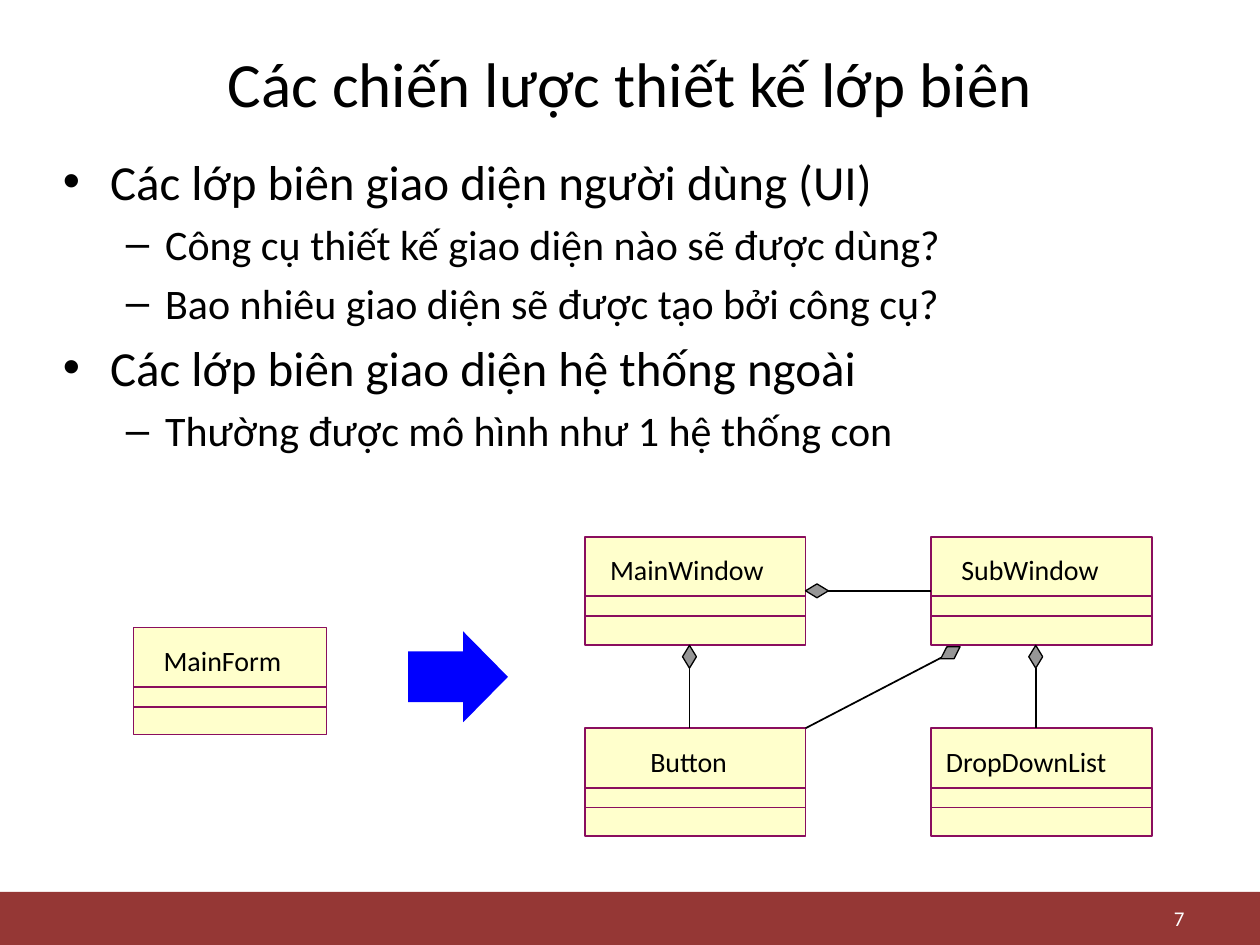
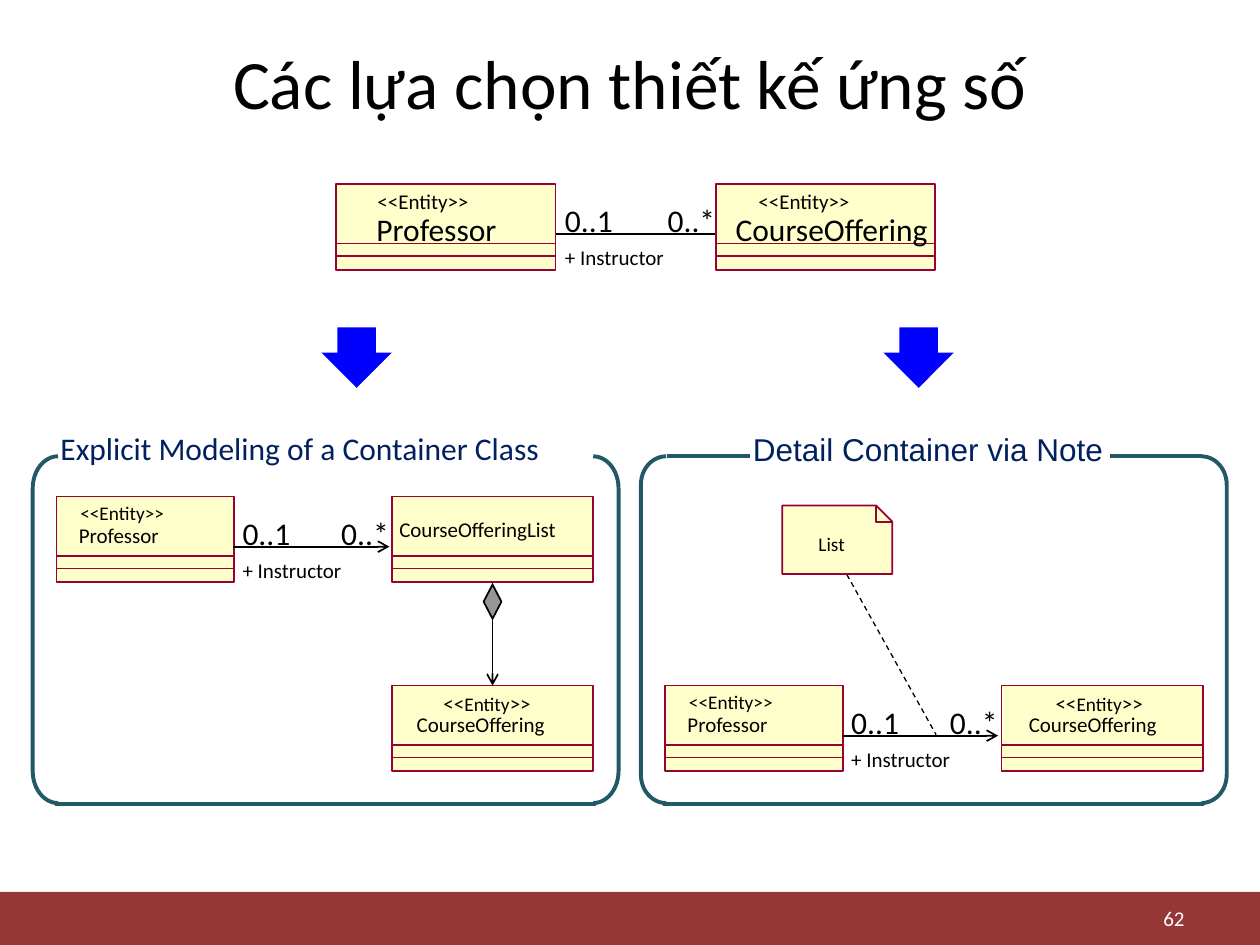
from lxml import etree
from pptx import Presentation
from pptx.dml.color import RGBColor
from pptx.enum.dml import MSO_LINE
from pptx.enum.shapes import MSO_CONNECTOR, MSO_SHAPE as Preset
from pptx.enum.text import MSO_ANCHOR as Anchor, MSO_AUTO_SIZE as AutoSize, PP_ALIGN as Align
from pptx.oxml.ns import qn
from pptx.util import Cm, Pt

BLACK = RGBColor(0x00, 0x00, 0x00)
WHITE = RGBColor(0xFF, 0xFF, 0xFF)
BAND_RED = RGBColor(0x95, 0x37, 0x35)
CLASS_YELLOW = RGBColor(0xFF, 0xFF, 0xCC)
PLUM = RGBColor(0x8A, 0x0E, 0x5E)
CRIMSON = RGBColor(0x99, 0x00, 0x33)
ARROW_BLUE = RGBColor(0x00, 0x00, 0xFF)
DIAMOND_GRAY = RGBColor(0x96, 0x96, 0x96)
PANEL_TEAL = RGBColor(0x21, 0x59, 0x68)
HEADING_NAVY = RGBColor(0x00, 0x20, 0x60)

TITLE_ONLY = 5
TOP, BOTTOM, LEFT = 0, 2, 1
NO_MARGINS = dict.fromkeys(("margin_left", "margin_top", "margin_right", "margin_bottom"), 0)
WIDE_MARGINS = {"margin_left": Cm(0.3), "margin_top": Cm(0.15),
                "margin_right": Cm(0.3), "margin_bottom": Cm(0.15)}
# Bullet character, left margin, hanging indent (cm) and size for each level
BULLETS = [("•", 0.95, 0.95, 28), ("–", 2.06, 0.79, 24)]

STRATEGIES = [
    (0, "Các lớp biên giao diện người dùng (UI)"),
    (1, "Công cụ thiết kế giao diện nào sẽ được dùng?"),
    (1, "Bao nhiêu giao diện sẽ được tạo bởi công cụ?"),
    (0, "Các lớp biên giao diện hệ thống ngoài"),
    (1, "Thường được mô hình như 1 hệ thống con"),
]


def set_values(target, values):
    for name, value in values.items():
        setattr(target, name, value)


def set_font(font, size, color=BLACK, name="Calibri"):
    set_values(font, {"size": Pt(size), "name": name})
    font.color.rgb = color


def paint(shape, fill=None, line=None, width=1):
    """Set fill and outline; None leaves that part empty."""
    if fill is None:
        shape.fill.background()
    else:
        shape.fill.solid()
        shape.fill.fore_color.rgb = fill
    if line is None:
        shape.line.fill.background()
    else:
        shape.line.color.rgb = line
        shape.line.width = Pt(width)
    shape.shadow.inherit = False


def add_preset(slide, preset, box, fill=None, line=None, width=1, adjustments=()):
    shape = slide.shapes.add_shape(preset, *map(Cm, box))
    for index, value in enumerate(adjustments):
        shape.adjustments[index] = value
    paint(shape, fill, line, width)
    return shape


def add_line(slide, start, end, color=BLACK, width=1, dash=None, arrow=False):
    connector = slide.shapes.add_connector(
        MSO_CONNECTOR.STRAIGHT, *map(Cm, (*start, *end)))
    connector.line.color.rgb = color
    connector.line.width = Pt(width)
    if dash:
        connector.line.dash_style = dash
    properties = connector._element.spPr
    if arrow:
        etree.SubElement(properties.find(qn("a:ln")), qn("a:tailEnd"), type="arrow")
    etree.SubElement(properties, qn("a:effectLst"))
    return connector


def add_text(slide, box, runs, color=BLACK, font="Calibri", wrap=True,
             frame_format=None, paragraph_format=None):
    """Add one paragraph made of (text, size) runs."""
    frame = slide.shapes.add_textbox(*map(Cm, box)).text_frame
    set_values(frame, {"word_wrap": wrap, **(frame_format or {})})
    paragraph = frame.paragraphs[0]
    set_values(paragraph, paragraph_format or {})
    for text, size in runs:
        run = paragraph.add_run()
        run.text = text
        set_font(run.font, size, color, font)


def add_label(slide, x, y, text, size, width=3.3, wrap=True):
    add_text(slide, (x, y, width, 0.25 + 0.043 * size), [(text, size)], wrap=wrap)


def start_slide(presentation, title, title_size, number):
    slide = presentation.slides.add_slide(presentation.slide_layouts[TITLE_ONLY])
    add_preset(slide, Preset.RECTANGLE, (0, 17.98, 25.4, 1.07), BAND_RED)
    placeholder = slide.shapes.title
    set_values(placeholder, {"left": Cm(1.27), "top": Cm(0.76),
                             "width": Cm(22.86), "height": Cm(1.78)})
    frame = placeholder.text_frame
    frame.text = title
    set_values(frame, {"auto_size": AutoSize.NONE, "vertical_anchor": Anchor.MIDDLE})
    frame.paragraphs[0].alignment = Align.CENTER
    set_font(frame.paragraphs[0].runs[0].font, title_size)
    add_text(slide, (18.21, 18.16, 5.92, 0.69), [(str(number), 12)], WHITE,
             frame_format={"vertical_anchor": Anchor.MIDDLE},
             paragraph_format={"alignment": Align.RIGHT})
    return slide


def add_bullets(slide, box, items):
    frame = slide.shapes.add_textbox(*map(Cm, box)).text_frame
    frame.word_wrap = True
    for index, (level, text) in enumerate(items):
        character, margin, hanging, size = BULLETS[level]
        paragraph = frame.add_paragraph() if index else frame.paragraphs[0]
        properties = paragraph._p.get_or_add_pPr()
        properties.set("marL", str(Cm(margin)))
        properties.set("indent", str(-Cm(hanging)))
        etree.SubElement(properties, qn("a:buFont"), typeface="Arial")
        etree.SubElement(properties, qn("a:buChar"), char=character)
        paragraph.level = level
        if index:
            paragraph.space_before = Pt(0.2 * size)
        run = paragraph.add_run()
        run.text = text
        set_font(run.font, size)


def add_class_box(slide, box, color, second_divider, width=1):
    """Draw a UML class rectangle with its attribute and operation compartments."""
    x, y, box_width, _ = box
    rectangle = add_preset(slide, Preset.RECTANGLE, box, CLASS_YELLOW, color, width)
    for offset in (1.2, second_divider):
        add_line(slide, (x, y + offset), (x + box_width, y + offset), color, width)
    return rectangle


def add_window_class(slide, name, box, indent, label_width, line_width=1):
    x, y = box[:2]
    rectangle = add_class_box(slide, box, PLUM, 1.6, line_width)
    add_text(slide, (x + indent, y + 0.32, label_width, 0.69), [(name, 16)],
             wrap=False, frame_format=NO_MARGINS)
    return rectangle


def add_entity_box(slide, x, y, width):
    return add_class_box(slide, (x, y, width, 1.73), CRIMSON, 1.45)


def add_entity(slide, name, x, y, width, indents, sizes):
    """Draw an entity; sizes are for the angle brackets, the stereotype and the name."""
    rectangle = add_entity_box(slide, x, y, width)
    bracket_size, word_size, name_size = sizes
    add_text(slide, (x + indents[0], y - 0.03, 3.3, 0.76),
             [("<<", bracket_size), ("Entity", word_size), (">>", bracket_size)])
    add_label(slide, x + indents[1], y + 0.39, name, name_size, 4.47)
    return rectangle


def add_association(slide, x, y, end_x, arrow=True):
    add_line(slide, (x, y), (end_x, y), arrow=arrow)
    add_label(slide, x - 0.06, y - 0.79, "0..1", 18, 1.5, wrap=False)
    add_label(slide, end_x - 1.22, y - 0.79, "0..*", 18, 1.47, wrap=False)
    add_label(slide, x - 0.06, y + 0.09, "+ Instructor", 12)


def add_diamond(slide, center_x, center_y, width=0.28, height=0.46, rotation=0, line_width=0.75):
    box = (center_x - width / 2, center_y - height / 2, width, height)
    diamond = add_preset(slide, Preset.DIAMOND, box, DIAMOND_GRAY, BLACK, line_width)
    diamond.rotation = rotation


def add_outline(slide, points, fill=None, close=True):
    start, *others = [(Cm(x), Cm(y)) for x, y in points]
    builder = slide.shapes.build_freeform(*start)
    builder.add_line_segments(others, close=close)
    paint(builder.convert_to_shape(), fill, CRIMSON)


def add_note(slide, text, x, y, width, height, fold):
    right, fold_x, fold_y = x + width, x + width - fold, y + fold
    add_outline(slide, [(fold_x, y), (x, y), (x, y + height),
                        (right, y + height), (right, fold_y)], CLASS_YELLOW)
    add_outline(slide, [(fold_x, y), (fold_x, fold_y), (right, fold_y)], close=False)
    add_label(slide, x + 0.48, y + 0.41, text, 11, 1.25)


def add_panel(slide, x, corner, top_edges=()):
    """Draw a rounded frame, open at the top apart from the given (start, end) edges."""
    top, bottom = 9.2, 16.2
    for preset, offset in ((Preset.LEFT_BRACKET, 0), (Preset.RIGHT_BRACKET, 11.3)):
        add_preset(slide, preset, (x + offset, top, 0.51, 6.99),
                   line=PANEL_TEAL, width=2.25, adjustments=[corner])
    edges = [(x + 0.45, x + 11.36, bottom)] + [(*edge, top) for edge in top_edges]
    for start, end, y in edges:
        add_line(slide, (start, y), (end, y), PANEL_TEAL, 2.25)


def build_boundary_slide(presentation):
    slide = start_slide(presentation, "Các chiến lược thiết kế lớp biên", 36, 7)
    add_bullets(slide, (1.02, 2.92, 23.57, 9.04), STRATEGIES)

    add_window_class(slide, "MainForm", (2.69, 12.65, 3.89, 2.16), 0.61, 2.39, 0.75)
    add_preset(slide, Preset.RIGHT_ARROW, (8.23, 12.73, 2.01, 1.83), ARROW_BLUE,
               adjustments=[0.559, 0.492])
    left, right, upper, lower, size = 11.79, 18.77, 10.82, 14.68, (4.45, 2.18)
    add_window_class(slide, "MainWindow", (left, upper, *size), 0.51, 3.12)
    sub_window = add_window_class(slide, "SubWindow", (right, upper, *size), 0.61, 2.79)
    add_window_class(slide, "Button", (left, lower, *size), 1.32, 1.57)
    add_window_class(slide, "DropDownList", (right, lower, *size), 0.3, 3.28)

    middle_y = upper + size[1] / 2
    add_line(slide, (16.56, middle_y), (right, middle_y)).end_connect(sub_window, LEFT)
    add_diamond(slide, 16.47, middle_y, rotation=270)
    for x in (left + 2.11, right + 2.11):
        add_line(slide, (x, 13.46), (x, lower))
        add_diamond(slide, x, 13.24)
    add_line(slide, (18.97, 13.26), (left + size[0], lower))
    add_diamond(slide, 19.16, 13.16, rotation=58.1)


def build_multiplicity_slide(presentation):
    slide = start_slide(presentation, "Các lựa chọn thiết kế ứng số", 39.6, 62)

    add_association(slide, 11.2, 4.72, 14.43, arrow=False)
    add_entity(slide, "Professor", 6.78, 3.71, 4.42, (0.58, 0.56), (12, 12, 18))
    add_entity(slide, "CourseOffering", 14.43, 3.71, 4.42, (0.61, 0.15), (12, 12, 18))
    for x in (6.48, 17.81):
        add_preset(slide, Preset.DOWN_ARROW, (x, 6.6, 1.42, 1.22), ARROW_BLUE,
                   adjustments=[0.544, 0.583])

    add_panel(slide, 0.66, 1.266)
    add_text(slide, (0.97, 8.79, 11.4, 0.76), [("Explicit Modeling of a Container Class", 18)],
             HEADING_NAVY, paragraph_format={"line_spacing": 0.6})
    add_entity(slide, "Professor", 1.14, 10.01, 3.58, (0.23, 0.2), (11, 11, 12))
    offering_list = add_entity_box(slide, 7.9, 10.01, 4.06)
    add_label(slide, 7.8, 10.29, "CourseOfferingList", 12, 4.5)
    offering = add_entity(slide, "CourseOffering", 7.9, 13.82, 4.06, (0.79, 0.25), (12, 11, 12))
    add_association(slide, 4.7, 11.02, 7.85)
    aggregation = add_line(slide, (9.93, 11.74), (9.93, 13.82), arrow=True)
    aggregation.begin_connect(offering_list, BOTTOM)
    aggregation.end_connect(offering, TOP)
    add_diamond(slide, 9.93, 12.13, 0.36, 0.69, line_width=1)

    add_panel(slide, 12.92, 1.119, [(13.44, 15.11), (22.38, 24.23)])
    add_text(slide, (14.88, 8.79, 7.7, 0.79), [("Detail Container via Note", 18)],
             HEADING_NAVY, "Arial", frame_format=WIDE_MARGINS,
             paragraph_format={"line_spacing": 0.6})
    add_entity(slide, "Professor", 13.41, 13.82, 3.58, (0.23, 0.2), (11, 11, 12))
    add_entity(slide, "CourseOffering", 20.19, 13.82, 4.06, (0.84, 0.3), (12, 11, 12))
    add_association(slide, 16.97, 14.83, 20.12)
    add_line(slide, (17.07, 11.58), (18.87, 14.81), width=0.75, dash=MSO_LINE.DASH)
    add_note(slide, "List", 15.77, 10.19, 2.22, 1.38, 0.33)


def main():
    presentation = Presentation()
    presentation.slide_width, presentation.slide_height = Cm(25.4), Cm(19.05)
    build_boundary_slide(presentation)
    build_multiplicity_slide(presentation)
    presentation.save("out.pptx")


if __name__ == "__main__":
    main()
